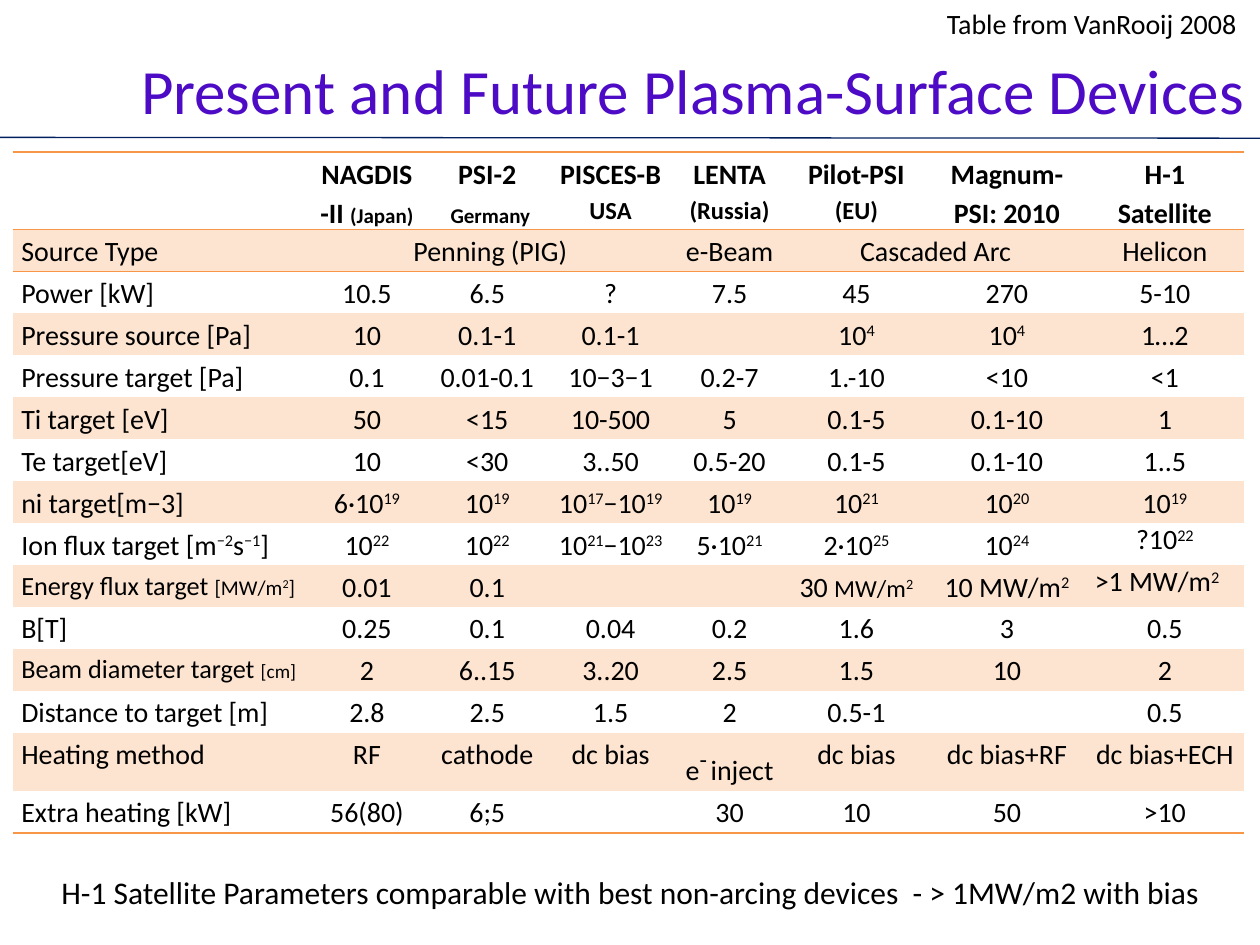
"""Build a slide comparing plasma-surface devices in a banded table."""
import pptx
import pptx.dml.color
import pptx.enum.shapes
import pptx.enum.text
import pptx.oxml.ns
import pptx.util
from lxml import etree

Pt = pptx.util.Pt
ALIGN = pptx.enum.text.PP_ALIGN
ANCHOR = pptx.enum.text.MSO_ANCHOR
COLORS = {"title": "4D0BC5", "text": "000000", "rule": "002060", "border": "F79646", "band": "FDE4D0"}
FONT = "Calibri"


def rgb(name):
    return pptx.dml.color.RGBColor.from_string(COLORS[name])


def write(frame, content, size=16, color="text", bold=False, align=ALIGN.LEFT, spacing=None,
          margins=(7.2, 3.6), anchor=ANCHOR.TOP):
    """Write text or (text, size) parts; ^ toggles superscript."""
    frame.word_wrap = True
    frame.vertical_anchor = anchor
    frame.margin_left = frame.margin_right = Pt(margins[0])
    frame.margin_top = frame.margin_bottom = Pt(margins[1])
    paragraph = frame.paragraphs[0]
    paragraph.alignment = align
    paragraph.line_spacing = spacing
    parts = [(content, size)] if isinstance(content, str) else content
    for text, part_size in parts:
        for level, piece in enumerate(text.split("^")):
            for number, line in enumerate(piece.split("\n")):
                if number:
                    paragraph.add_line_break()
                if not line:
                    continue
                run = paragraph.add_run()
                run.text = line
                run.font.name = FONT
                run.font.size = Pt(part_size)
                run.font.bold = bold
                run.font.color.rgb = rgb(color)
                if level % 2:
                    run.font._element.set("baseline", "30000")


deck = pptx.Presentation()
deck.slide_width, deck.slide_height = Pt(720), Pt(540)
slide = deck.slides.add_slide(deck.slide_layouts[6])

title_rule = slide.shapes.add_connector(
    pptx.enum.shapes.MSO_CONNECTOR.STRAIGHT, Pt(0), Pt(78.5), Pt(748), Pt(79))
title_rule.line.color.rgb = rgb("rule")
title_rule.line.width = Pt(0.75)
etree.SubElement(title_rule._element.spPr, pptx.oxml.ns.qn("a:effectLst"))

title = slide.shapes.add_textbox(Pt(72), Pt(16.5), Pt(648), Pt(68.5))
write(title.text_frame, "Present and Future Plasma-Surface Devices", size=36, color="title",
      align=ALIGN.CENTER, anchor=ANCHOR.MIDDLE)

device_rows = [
    ["", [("NAGDIS\n-II ", 16), ("(Japan)", 12)], [("PSI-2\n ", 16), ("Germany", 12)],
     [("PISCES-B\n", 16), ("USA", 14)], [("LENTA\n", 16), ("(Russia)", 14)],
     [("Pilot-PSI\n", 16), ("(EU)", 14)], "Magnum-PSI: 2010", "H-1 Satellite"],
    ["Source Type", "Penning (PIG)", None, None, "e-Beam", "Cascaded Arc", None, "Helicon"],
    ["Power [kW]", "10.5", "6.5", "?", "7.5", "45", "270", "5-10"],
    ["Pressure source [Pa]", "10", "0.1-1", "0.1-1", "", "10^4", "10^4", "1…2"],
    ["Pressure target [Pa]", "0.1", "0.01-0.1", "10−3−1", "0.2-7", "1.-10", "<10", "<1"],
    ["Ti target [eV]", "50", "<15", "10-500", "5", "0.1-5", "0.1-10", "1"],
    ["Te target[eV]", "10", "<30", "3..50", "0.5-20", "0.1-5", "0.1-10", "1..5"],
    ["ni target[m−3]", "6·10^19", "10^19", "10^17^−10^19", "10^19", "10^21", "10^20", "10^19"],
    ["Ion flux target [m^−2^s^−1^]", "10^22", "10^22", "10^21^−10^23", "5·10^21", "2·10^25",
     "10^24", "?10^22"],
    [[("Energy flux target ", 15), ("[MW/m^2^]", 12)], "0.01", "0.1", "", "",
     [("30 ", 16), ("MW/m^2", 14)], "10 MW/m^2", ">1 MW/m^2"],
    ["B[T]", "0.25", "0.1", "0.04", "0.2", "1.6", "3", "0.5"],
    [[("Beam diameter target ", 15), ("[cm]", 11)], "2", "6..15", "3..20", "2.5", "1.5", "10", "2"],
    ["Distance to target [m]", "2.8", "2.5", "1.5", "2", "0.5-1", "", "0.5"],
    ["Heating method", "RF", "cathode", "dc bias", [("e", 16), ("^-", 24), ("^ ^inject", 16)],
     "dc bias", "dc bias+RF", "dc bias+ECH"],
    ["Extra heating [kW]", "56(80)", "6;5", "", "30", "10", "50", ">10"],
]
column_widths = [168, 69, 68.5, 72.5, 63.5, 81.5, 90.5, 90]
last_row = len(device_rows) - 1
border_sides = {0: ["lnT", "lnB"], 1: ["lnT"], last_row: ["lnB"]}
single_spaced = [(8, 7), (9, 7)]
narrow_margins = [(7, 3), (8, 3)]

devices = slide.shapes.add_table(len(device_rows), len(column_widths), Pt(7.2), Pt(87),
                                 Pt(sum(column_widths)), Pt(24 * len(device_rows))).table
devices.first_row = devices.horz_banding = False
devices._tbl.tblPr.find(pptx.oxml.ns.qn("a:tableStyleId")).text = "{2D5ABB26-0587-4C30-8999-92F81FD0307C}"
for column, width in zip(devices.columns, column_widths):
    column.width = Pt(width)
for first, last in [(1, 3), (5, 6)]:
    devices.cell(1, first).merge(devices.cell(1, last))

for r, entries in enumerate(device_rows):
    devices.rows[r].height = Pt(24)
    for c, entry in enumerate(entries):
        cell = devices.cell(r, c)
        if r % 2:
            cell.fill.solid()
            cell.fill.fore_color.rgb = rgb("band")
        else:
            cell.fill.background()
        margin = 3 if (r, c) in narrow_margins else 5
        cell.margin_left = cell.margin_right = Pt(margin)
        cell.margin_top = cell.margin_bottom = Pt(0)
        if entry:
            write(cell.text_frame, entry, bold=r == 0,
                  align=ALIGN.LEFT if c == 0 or (r, c) == (9, 7) else ALIGN.CENTER,
                  spacing=None if (r, c) in single_spaced else 1.15, margins=(margin, 0))
            body = cell.text_frame._txBody.bodyPr
            for attribute in list(body.attrib):
                del body.attrib[attribute]
        properties = cell._tc.get_or_add_tcPr()
        for place, side in enumerate(border_sides.get(r, [])):
            border = etree.Element(pptx.oxml.ns.qn("a:" + side), w=str(Pt(1)))
            paint = etree.SubElement(border, pptx.oxml.ns.qn("a:solidFill"))
            etree.SubElement(paint, pptx.oxml.ns.qn("a:srgbClr"), val=COLORS["border"])
            properties.insert(place, border)

conclusion = slide.shapes.add_textbox(Pt(28), Pt(495.5), Pt(692), Pt(29))
write(conclusion.text_frame,
      "H-1 Satellite Parameters comparable with best non-arcing devices  - > 1MW/m2 with bias", size=18)

credit = slide.shapes.add_textbox(Pt(534), Pt(0), Pt(186), Pt(26.5))
write(credit.text_frame, "Table from VanRooij 2008")

deck.save("out.pptx")
